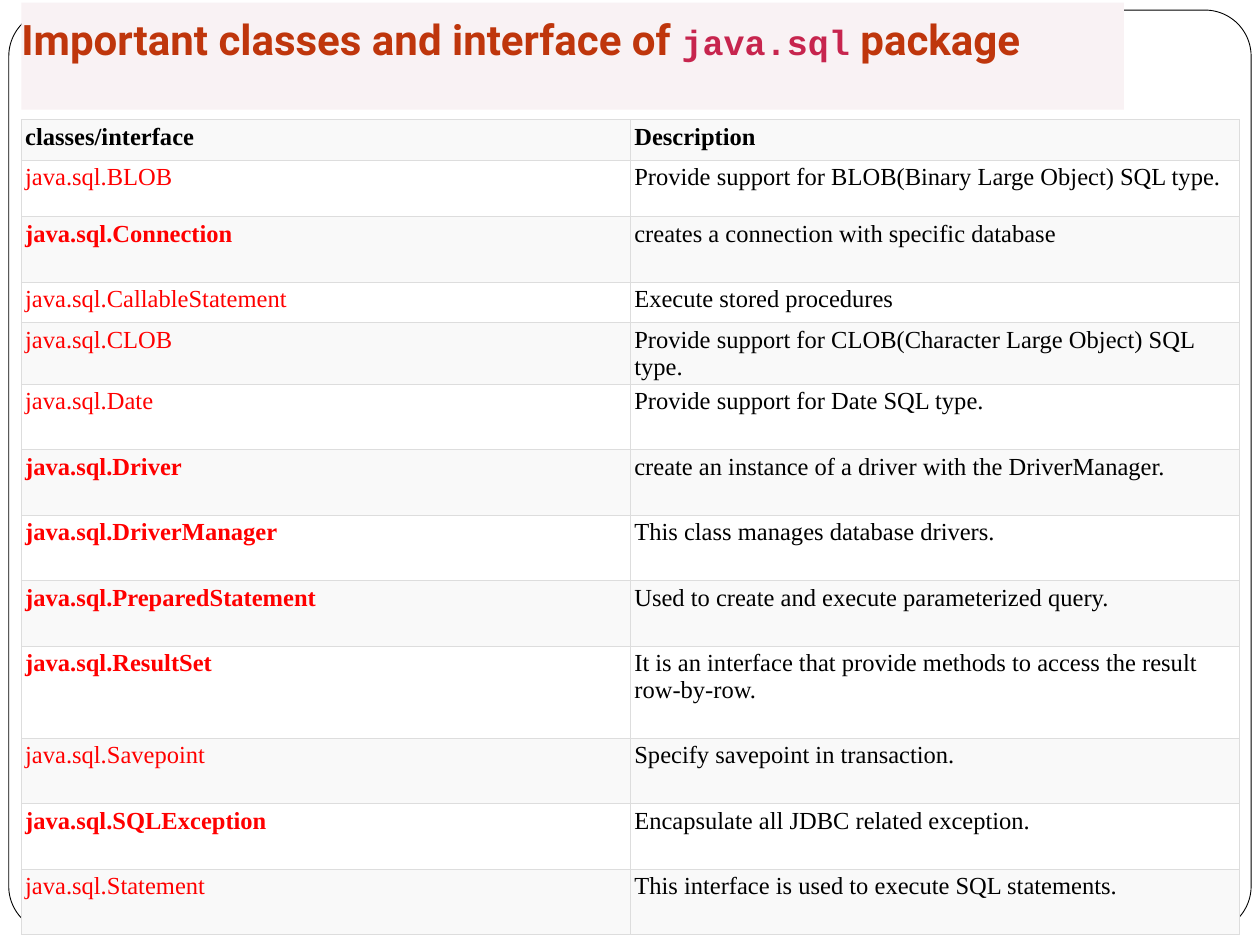
from dataclasses import dataclass

from lxml import etree
from pptx import Presentation
from pptx.dml.color import RGBColor
from pptx.enum import shapes, text
from pptx.oxml import ns
from pptx.util import Inches, Pt


@dataclass(frozen=True)
class Theme:
    white: str = "FFFFFF"
    black: str = "000000"
    stripe: str = "F9F9F9"
    border: str = "DDDDDD"
    class_name: str = "FF0000"
    title_fill: str = "F9F2F4"
    title: str = "BF360C"
    code: str = "C7254E"
    title_size: float = 24
    code_size: float = 20
    table_size: float = 14
    border_width: float = 0.6
    title_font: str = "Roboto"
    code_font: str = "Courier New"
    table_font: str = "Times New Roman"


@dataclass(frozen=True)
class ClassRow:
    name: str
    description: str
    height: float = 0.52
    bold: bool = False


THEME = Theme()
HEADER = ClassRow("classes/interface", "Description", 0.32, True)
CLASS_ROWS = [
    ClassRow("java.sql.BLOB", "Provide support for BLOB(Binary Large Object) SQL type.", 0.45),
    ClassRow("java.sql.Connection", "creates a connection with specific database", bold=True),
    ClassRow("java.sql.CallableStatement", "Execute stored procedures", 0.32),
    ClassRow("java.sql.CLOB", "Provide support for CLOB(Character Large Object) SQL type.", 0.49),
    ClassRow("java.sql.Date", "Provide support for Date SQL type."),
    ClassRow("java.sql.Driver", "create an instance of a driver with the DriverManager.", bold=True),
    ClassRow("java.sql.DriverManager", "This class manages database drivers.", bold=True),
    ClassRow("java.sql.PreparedStatement", "Used to create and execute parameterized query.", bold=True),
    ClassRow("java.sql.ResultSet",
             "It is an interface that provide methods to access the result row-by-row.", 0.73, True),
    ClassRow("java.sql.Savepoint", "Specify savepoint in transaction."),
    ClassRow("java.sql.SQLException", "Encapsulate all JDBC related exception.", bold=True),
    ClassRow("java.sql.Statement", "This interface is used to execute SQL statements."),
]


def style_run(run, font: str, size: float, color: str, bold: bool) -> None:
    run.font.name = font
    run.font.size = Pt(size)
    run.font.bold = bold
    run.font.color.rgb = RGBColor.from_string(color)


def add_box(slide, kind, left: float, top: float, width: float, height: float, fill: str):
    shape = slide.shapes.add_shape(
        kind, Inches(left), Inches(top), Inches(width), Inches(height))
    shape.shadow.inherit = False
    shape.fill.solid()
    shape.fill.fore_color.rgb = RGBColor.from_string(fill)
    shape.line.fill.background()
    return shape


def add_frame(slide) -> None:
    frame = add_box(slide, shapes.MSO_SHAPE.ROUNDED_RECTANGLE, 0.07, 0.08, 9.86, 7.32, THEME.white)
    frame.adjustments[0] = 0.05
    frame.line.color.rgb = RGBColor.from_string(THEME.black)
    frame.line.width = Pt(0.5)


def add_title(slide) -> None:
    title = add_box(slide, shapes.MSO_SHAPE.RECTANGLE, 0.17, 0.02, 8.75, 0.85, THEME.title_fill)
    text_frame = title.text_frame
    text_frame.word_wrap = True
    text_frame.vertical_anchor = text.MSO_ANCHOR.TOP
    text_frame.margin_left = text_frame.margin_right = 0
    text_frame.margin_top = Inches(0.09)
    paragraph = text_frame.paragraphs[0]
    paragraph.alignment = text.PP_ALIGN.LEFT
    heading = (THEME.title_font, THEME.title_size, THEME.title)
    code = (THEME.code_font, THEME.code_size, THEME.code)
    for words, style in (
        ("Important classes and interface of\u00a0", heading),
        ("java.sql", code),
        ("\u00a0package", heading),
    ):
        run = paragraph.add_run()
        run.text = words
        style_run(run, *style, bold=True)


def add_borders(cell) -> None:
    properties = cell._tc.get_or_add_tcPr()
    for index, side in enumerate(("lnL", "lnR", "lnT", "lnB")):
        line = etree.Element(ns.qn(f"a:{side}"), w=str(Pt(THEME.border_width)))
        fill = etree.SubElement(line, ns.qn("a:solidFill"))
        etree.SubElement(fill, ns.qn("a:srgbClr"), val=THEME.border)
        properties.insert(index, line)


def fill_cell(cell, words: str, fill: str, color: str, bold: bool) -> None:
    cell.text_frame.text = words
    cell.margin_left = cell.margin_right = Inches(0.03)
    cell.margin_top = cell.margin_bottom = Inches(0.03)
    cell.vertical_anchor = text.MSO_ANCHOR.TOP
    cell.fill.solid()
    cell.fill.fore_color.rgb = RGBColor.from_string(fill)
    style_run(cell.text_frame.paragraphs[0].runs[0],
              THEME.table_font, THEME.table_size, color, bold)
    add_borders(cell)


def add_class_table(slide) -> None:
    rows = [HEADER, *CLASS_ROWS]
    table = slide.shapes.add_table(
        len(rows), 2, Inches(0.17), Inches(0.95), Inches(9.67),
        Inches(sum(row.height for row in rows))).table
    for index, row in enumerate(rows):
        table.rows[index].height = Inches(row.height)
        fill = THEME.white if index % 2 else THEME.stripe
        is_header = row is HEADER
        name_color = THEME.black if is_header else THEME.class_name
        fill_cell(table.cell(index, 0), row.name, fill, name_color, row.bold)
        fill_cell(table.cell(index, 1), row.description, fill, THEME.black, is_header)


def main() -> None:
    presentation = Presentation()
    presentation.slide_width = Inches(10)
    presentation.slide_height = Inches(7.5)
    slide = presentation.slides.add_slide(presentation.slide_layouts[6])
    add_frame(slide)
    add_class_table(slide)
    add_title(slide)
    presentation.save("out.pptx")


main()
